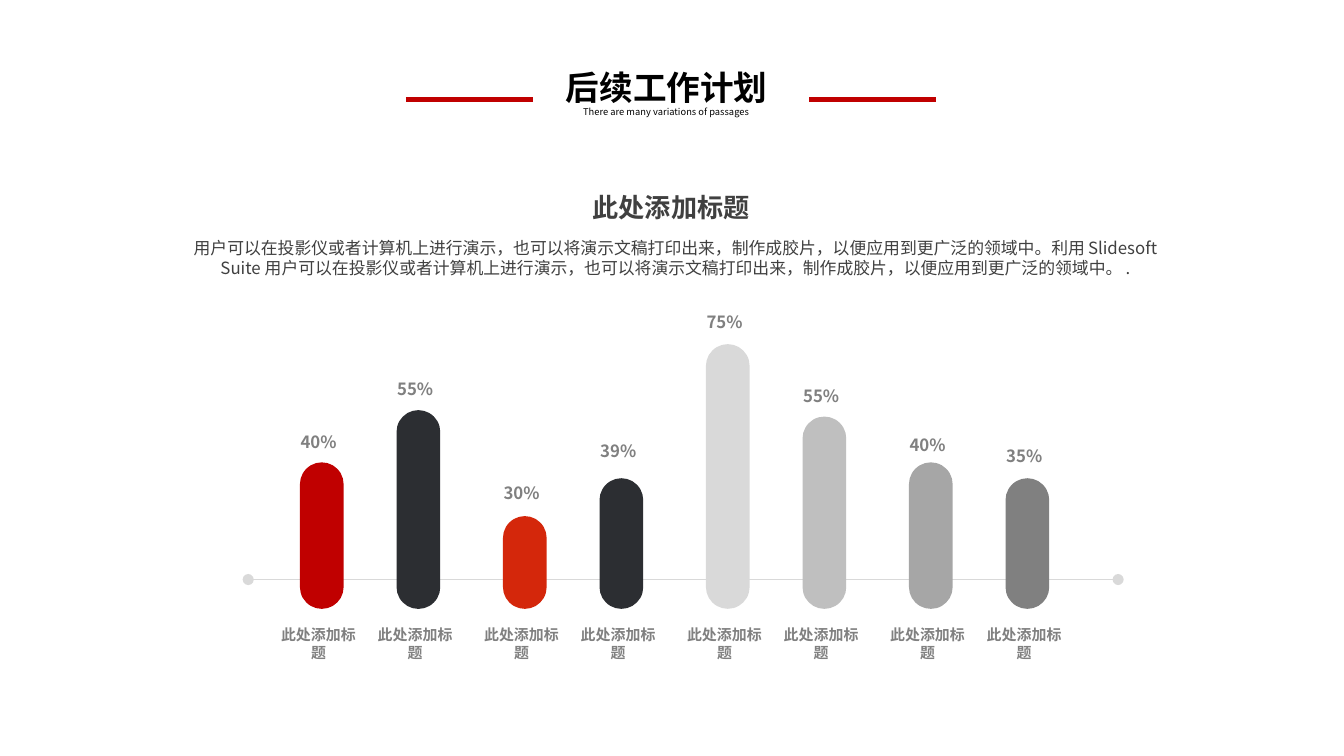
from lxml import etree
from pptx import Presentation
from pptx.dml.color import RGBColor
from pptx.enum.shapes import MSO_CONNECTOR, MSO_SHAPE
from pptx.enum.text import MSO_ANCHOR, MSO_AUTO_SIZE, PP_ALIGN
from pptx.oxml.ns import qn
from pptx.util import Pt

LEFT, CENTER = PP_ALIGN.LEFT, PP_ALIGN.CENTER
TOP, MIDDLE = MSO_ANCHOR.TOP, MSO_ANCHOR.MIDDLE
FIXED = MSO_AUTO_SIZE.NONE
PILL = MSO_SHAPE.ROUNDED_RECTANGLE
LINE = MSO_CONNECTOR.STRAIGHT

FONT = "Noto Sans CJK SC"
RED, DARK, GREY, PALE = "C00000", "2C2E32", "808080", "D9D9D9"
TEXT = "404040"
LEAD = 1.2


def color(code):
    return RGBColor.from_string(code)


def write(shape, text, size=9, ink=GREY, bold=False, align=CENTER,
          anchor=TOP, pad=(5, 2.9), wrap=True):
    frame = shape.text_frame
    frame.auto_size = FIXED
    frame.word_wrap = wrap
    frame.vertical_anchor = anchor
    frame.margin_left = frame.margin_right = Pt(pad[0])
    frame.margin_top = frame.margin_bottom = Pt(pad[1])
    para = frame.paragraphs[0]
    para.alignment = align
    para.line_spacing = Pt(size * LEAD)
    run = para.add_run()
    run.text = text
    font = run.font
    font.size, font.bold, font.name = Pt(size), bold, FONT
    font.color.rgb = color(ink)
    # East Asian characters need their own typeface entry
    east = etree.SubElement(run._r.get_or_add_rPr(), qn("a:ea"))
    east.set("typeface", FONT)


class Board:
    def __init__(self, deck):
        self.slide = deck.slides.add_slide(deck.slide_layouts[5])
        self.shapes = self.slide.shapes

    def title(self, text, x, y, w, h, **style):
        head = self.shapes.title
        head.left, head.top, head.width, head.height = map(Pt, (x, y, w, h))
        write(head, text, **style)

    def text(self, text, x, y, w, h, **style):
        write(self.shapes.add_textbox(*map(Pt, (x, y, w, h))), text, **style)

    def bar(self, x, y, w, h, fill):
        bar = self.shapes.add_shape(PILL, *map(Pt, (x, y, w, h)))
        bar.adjustments[0] = 0.5
        bar.shadow.inherit = False
        bar.fill.solid()
        bar.fill.fore_color.rgb = color(fill)
        bar.line.fill.background()

    def line(self, x, y, end, ink, width, dots=False):
        line = self.shapes.add_connector(LINE, Pt(x), Pt(y), Pt(end), Pt(y))
        line.line.color.rgb = color(ink)
        line.line.width = Pt(width)
        props = line._element.spPr
        if dots:
            for tag in ("a:headEnd", "a:tailEnd"):
                etree.SubElement(props.find(qn("a:ln")), qn(tag), type="oval")
        etree.SubElement(props, qn("a:effectLst"))


def main():
    deck = Presentation()
    deck.slide_width, deck.slide_height = Pt(720), Pt(405)
    board = Board(deck)

    # Heading between two red rules
    board.title("后续工作计划", 296, 32.4, 125.3, 29, size=18, ink="000000",
                bold=True, align=LEFT, anchor=MIDDLE, pad=(7.2, 3.6),
                wrap=False)
    board.text("There are many variations of passages", 312.4, 56.9, 103.7,
               6, size=5, ink="000000", align=LEFT, anchor=MIDDLE,
               pad=(0, 0), wrap=False)
    for x in (217.5, 433.5):
        board.line(x, 53.2, x + 68, RED, 2.5)

    # Baseline
    board.line(133, 310.5, 599, PALE, 0.5, dots=True)

    # Bars in pairs: value, bar height, value label top, fill
    bars = [
        ("40%", 78.5, 228.2, RED),
        ("55%", 106.5, 200.2, DARK),
        ("30%", 49.7, 255.6, "D4270B"),
        ("39%", 70, 233.3, DARK),
        ("75%", 141.8, 164.2, PALE),
        ("55%", 103, 204, "BFBFBF"),
        ("40%", 78.5, 230.1, "A6A6A6"),
        ("35%", 70, 235.8, GREY),
    ]
    base, wide, box = 326.2, 23.4, 56.9
    for i, (value, high, top, fill) in enumerate(bars):
        pair, side = divmod(i, 2)
        x = 160.7 + 108.75 * pair + 51.75 * side
        left = x - 18.5
        board.bar(x, base - high, wide, high, fill)
        board.text("此处添加标题", left, 332.2, box, 25.2, size=8, bold=True)
        board.text(value, left, top, box, 16.6, bold=True)

    # Introduction
    board.text("此处添加标题", 95, 97.8, 529.2, 25.9, size=14, ink=TEXT,
               bold=True, anchor=MIDDLE)
    claim = "用户可以在投影仪或者计算机上进行演示，也可以将演示文稿打印出来，制作成胶片，以便应用到更广泛的领域中。"
    board.text(f"{claim}利用Slidesoft Suite{claim}.", 95.8, 124.6, 532, 27.4,
               ink=TEXT)

    deck.save("out.pptx")


if __name__ == "__main__":
    main()
